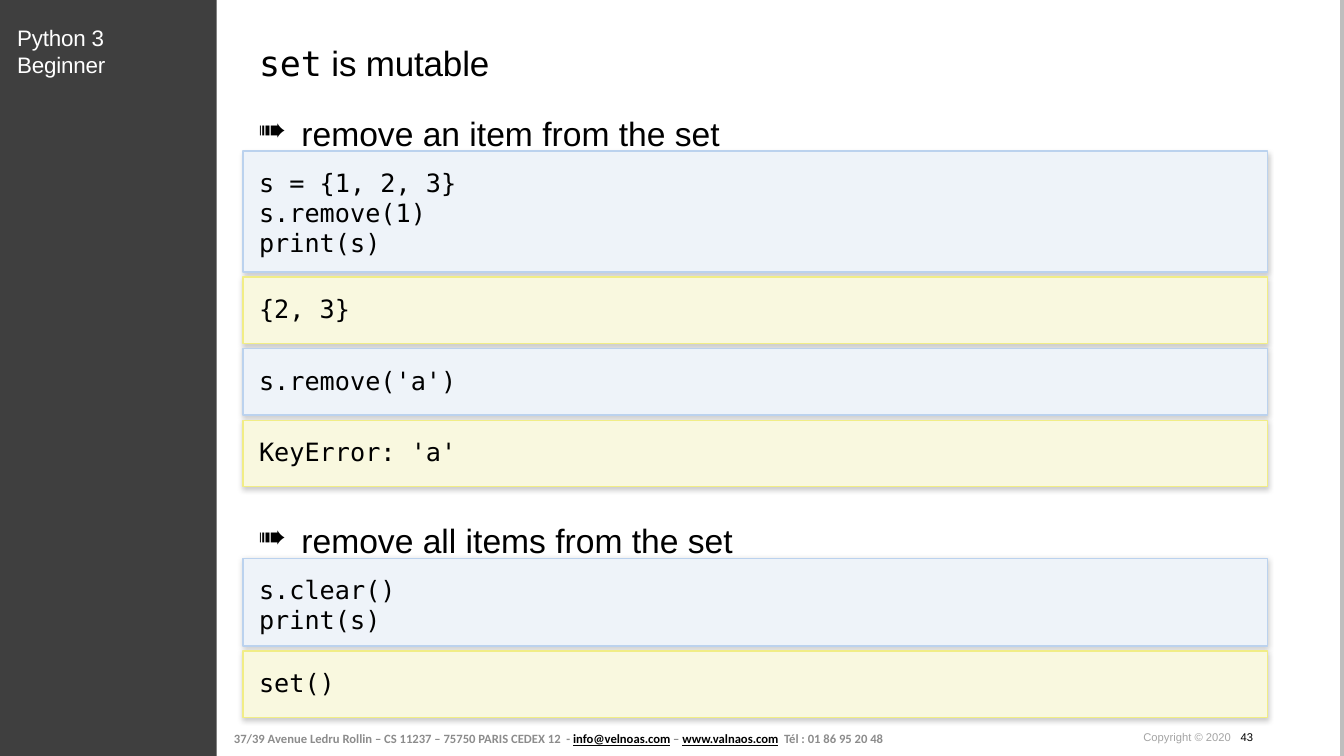
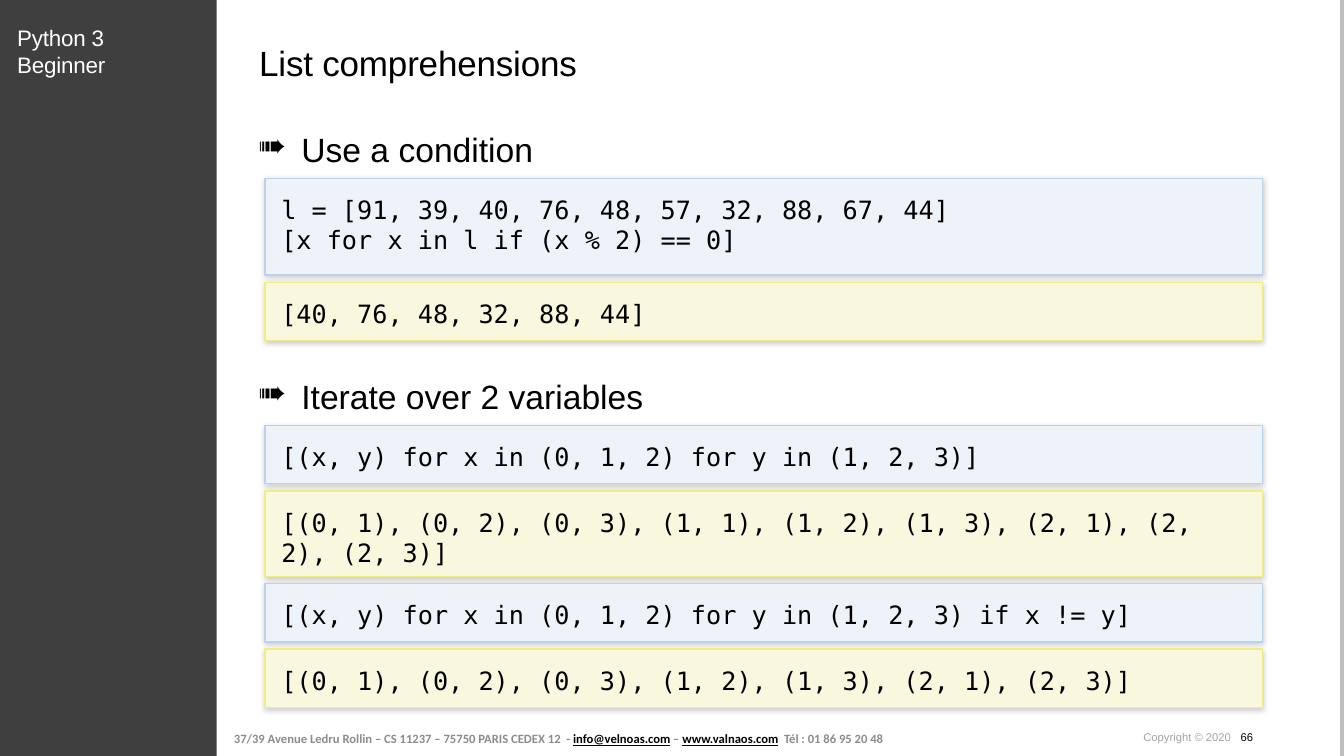
from lxml.etree import SubElement as sub
from pptx import Presentation
from pptx.dml.color import RGBColor as RGB
from pptx.enum.shapes import MSO_CONNECTOR as CONN, MSO_SHAPE as SHAPE
from pptx.enum.text import MSO_ANCHOR as ANCHOR, MSO_AUTO_SIZE as FIT, PP_ALIGN as ALIGN
from pptx.oxml.ns import qn
from pptx.util import Pt

PX = 9144  # 100 px to the inch
WIDTH, HEIGHT = 1333, 750
SANS, MONO, SMALL = "Arial", "DejaVu Sans Mono", "Calibri"
COLORS = {
    "black": "000000", "white": "FFFFFF", "band": "3F3F3F", "edge": "BEBEBE",
    "grey": "8C8C8C", "pale": "A4A4A4",
    "code": "EEF3F9", "code line": "BBD2EE",
    "output": "F9F8DF", "output line": "F1ED86",
}
HEAD_LEFT, HEAD_TALL, INDENT = 256, 53, 43

LINK = {"color": "black", "under": True}
ADDRESS = [
    ("37/39 Avenue Ledru Rollin – CS 11237 – 75750 PARIS CEDEX 12  - ", {}),
    ("info@velnoas.com", LINK),
    (" – ", {}),
    ("www.valnaos.com", LINK),
    ("  Tél : 01 86 95 20 48", {}),
]

SLIDES = [
    {
        "title": [("set", {"font": MONO}), (" is mutable", {})],
        "number": "43",
        "box": (241, 92, 1016), "gaps": (5, 5, 13),
        "groups": [
            ("remove an item from the set", [
                (120, "s = {1, 2, 3}\ns.remove(1)\nprint(s)"),
                (66, "{2, 3}"),
                (66, "s.remove('a')"),
                (66, "KeyError: 'a'"),
            ]),
            ("remove all items from the set", [
                (87, "s.clear()\nprint(s)"),
                (66, "set()"),
            ]),
        ],
    },
    {
        "title": [("List comprehensions", {})],
        "number": "66",
        "box": (263, 108, 989), "gaps": (16, 7, 15),
        "groups": [
            ("Use a condition", [
                (96, "l = [91, 39, 40, 76, 48, 57, 32, 88, 67, 44]\n"
                     "[x for x in l if (x % 2) == 0]"),
                (58, "[40, 76, 48, 32, 88, 44]"),
            ]),
            ("Iterate over 2 variables", [
                (58, "[(x, y) for x in (0, 1, 2) for y in (1, 2, 3)]"),
                (85, "[(0, 1), (0, 2), (0, 3), (1, 1), (1, 2), (1, 3), "
                     "(2, 1), (2, 2), (2, 3)]"),
                (58, "[(x, y) for x in (0, 1, 2) for y in (1, 2, 3) if x != y]"),
                (58, "[(0, 1), (0, 2), (0, 3), (1, 2), (1, 3), (2, 1), (2, 3)]"),
            ]),
        ],
    },
]


def rgb(name):
    return RGB.from_string(COLORS[name])


def scale(*sizes):
    return [size * PX for size in sizes]


def write(shape, text, size=18, font=SANS, color="black", bold=False,
          tight=0, inset=(0, 0), anchor=ANCHOR.TOP, spacing=None, bullet=None):
    """Fill a shape with a string, one paragraph a line, or with a list of (text, format) runs."""
    frame = shape.text_frame
    frame.auto_size, frame.word_wrap = FIT.NONE, True
    frame.vertical_anchor = anchor
    frame.margin_left = frame.margin_right = inset[0] * PX
    frame.margin_top = frame.margin_bottom = inset[1] * PX
    lines = [[(line, {})] for line in text.split("\n")] if isinstance(text, str) else [text]
    for i, runs in enumerate(lines):
        para = frame.add_paragraph() if i else frame.paragraphs[0]
        para.alignment = ALIGN.LEFT
        if spacing:
            para.line_spacing = spacing
        if bullet:
            props = para._p.get_or_add_pPr()
            props.set("marL", str(INDENT * PX))
            props.set("indent", str(-INDENT * PX))
            sub(props, qn("a:buChar"), char=bullet)
        for words, style in runs:
            run = para.add_run()
            run.text = words
            face = run.font
            face.size, face.bold = Pt(size), bold
            face.name = style.get("font", font)
            face.color.rgb = rgb(style.get("color", color))
            face.underline = style.get("under", False)
            if tight:
                run._r.get_or_add_rPr().set("spc", str(tight))


def label(slide, box, text, **style):
    write(slide.shapes.add_textbox(*scale(*box)), text, **style)


def block(slide, box, fill, line=None):
    shape = slide.shapes.add_shape(SHAPE.RECTANGLE, *scale(*box))
    shape.shadow.inherit = False
    shape.fill.solid()
    shape.fill.fore_color.rgb = rgb(fill)
    if line:
        shape.line.color.rgb = rgb(line)
        shape.line.width = Pt(1)
    else:
        shape.line.fill.background()
    return shape


def shade(shape):
    """Add a soft shadow just below the shape."""
    effects = shape._element.spPr.find(qn("a:effectLst"))
    cast = sub(effects, qn("a:outerShdw"), blurRad=str(Pt(4)), dist=str(Pt(1)),
               dir="5400000", rotWithShape="0")
    tint = sub(cast, qn("a:srgbClr"), val=COLORS["black"])
    sub(tint, qn("a:alpha"), val="20000")


def frame_page(slide, number):
    """Draw the side band, the right edge and the footer."""
    edge = slide.shapes.add_connector(CONN.STRAIGHT, *scale(1331, 0, 1331, HEIGHT))
    edge.line.color.rgb = rgb("edge")
    edge.line.width = Pt(3.34)
    sub(edge._element.spPr, qn("a:effectLst"))
    block(slide, (0, 0, 215, HEIGHT), "band")
    label(slide, (225, 717, 668, 32), ADDRESS, size=9, font=SMALL, color="grey",
          bold=True, inset=(7, 4), anchor=ANCHOR.MIDDLE)
    label(slide, (17, 24, 170, 54), "Python 3 Beginner", size=16, color="white", tight=-10)
    label(slide, (1134, 725, 171, 13), [("Copyright © 2020   ", {}), (number, {"color": "black"})],
          size=8, color="pale")


def set_title(slide, runs):
    title = slide.shapes.title
    title.left, title.top, title.width, title.height = scale(257, 41, 991, 42)
    write(title, runs, size=25, tight=-10)


def stack(slide, box, gaps, groups):
    """Stack headings, each followed by code and output in turn, down from the top of the box."""
    left, y, wide = box
    after, between, apart = gaps
    for head, cells in groups:
        label(slide, (HEAD_LEFT, y, left + wide - HEAD_LEFT, HEAD_TALL), head,
              size=24, spacing=1.5, bullet="➠")
        y += HEAD_TALL + after
        for i, (tall, text) in enumerate(cells):
            kind = "output" if i % 2 else "code"
            cell = block(slide, (left, y, wide, tall), kind, kind + " line")
            shade(cell)
            write(cell, text, font=MONO, inset=(16, 16))
            y += tall + between
        y += apart - between


def main():
    deck = Presentation()
    deck.slide_width, deck.slide_height = scale(WIDTH, HEIGHT)
    for page in SLIDES:
        slide = deck.slides.add_slide(deck.slide_layouts[5])
        frame_page(slide, page["number"])
        set_title(slide, page["title"])
        stack(slide, page["box"], page["gaps"], page["groups"])
    deck.save("out.pptx")


if __name__ == "__main__":
    main()
